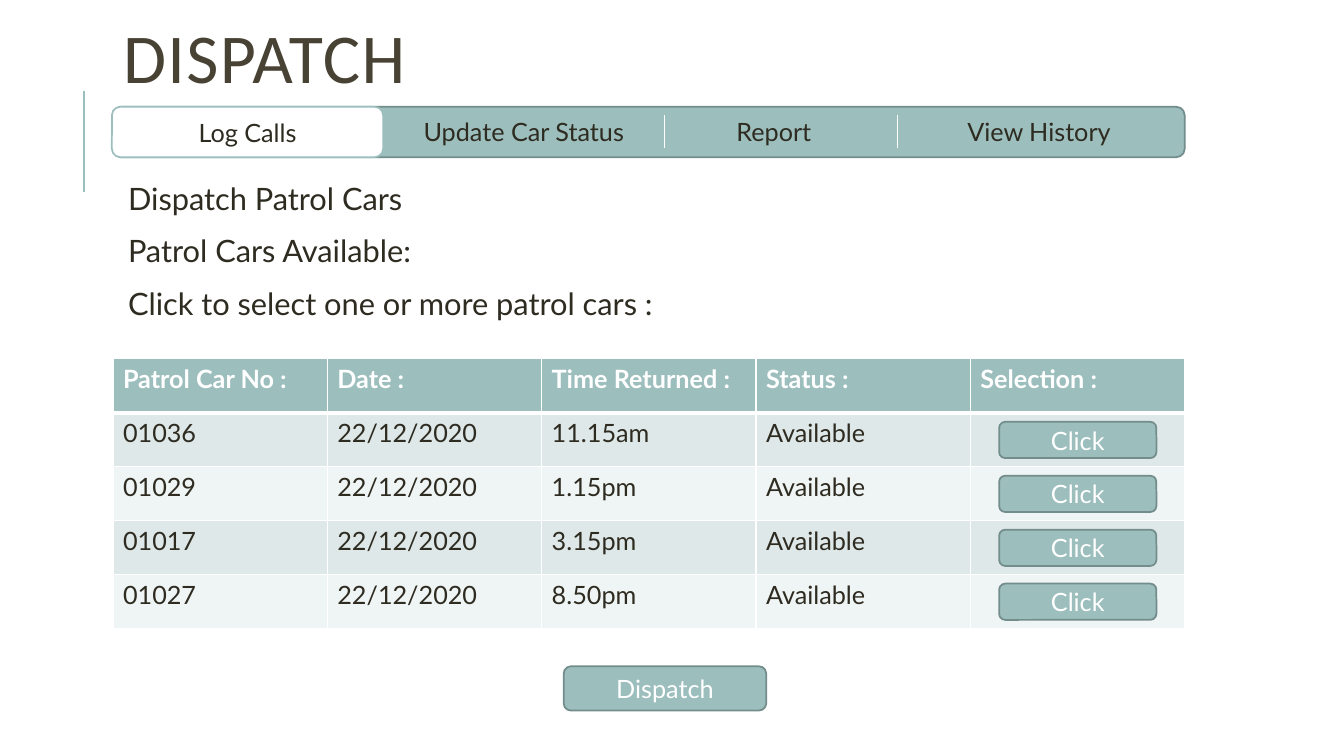
from pptx import Presentation
from pptx.dml.color import RGBColor
from pptx.enum.shapes import MSO_CONNECTOR, MSO_SHAPE
from pptx.enum.text import MSO_ANCHOR, MSO_AUTO_SIZE, PP_ALIGN
from pptx.oxml.ns import qn
from pptx.util import Inches, Pt
from lxml import etree

ROUNDED = MSO_SHAPE.ROUNDED_RECTANGLE
STRAIGHT = MSO_CONNECTOR.STRAIGHT
LEFT, CENTER = PP_ALIGN.LEFT, PP_ALIGN.CENTER
MIDDLE, TOP = MSO_ANCHOR.MIDDLE, MSO_ANCHOR.TOP
NO_FIT, GROW = MSO_AUTO_SIZE.NONE, MSO_AUTO_SIZE.SHAPE_TO_FIT_TEXT

TEAL, EDGE, WHITE = "9CBEBD", "738D8C", "FFFFFF"
INK, BROWN = "2E2B21", "474233"
BANDS = ("DEE8E8", "EFF4F4")
CONTENT_LEFT, CONTENT_WIDTH = 1.12, 10.63
ROW_HEIGHT = 0.535

INSTRUCTIONS = ("Dispatch Patrol Cars", "Patrol Cars Available:",
                "Click to select one or more patrol cars :")
MENU = (("Update Car Status", 2.83), ("Report", 5.31), ("View History", 7.94))
HEADINGS = ("Patrol Car No :", "Date :", "Time Returned :", "Status :", "Selection :")
RETURNS = (("01036", "11.15am"), ("01029", "1.15pm"),
           ("01017", "3.15pm"), ("01027", "8.50pm"))


def color(hex_code):
    """Turn a hex string into a colour."""
    return RGBColor.from_string(hex_code)


def add_run(paragraph, text, size=18, ink=INK, font="Lato", bold=False):
    """Append one formatted run and return it."""
    run = paragraph.add_run()
    run.text = text
    run.font.size = Pt(size)
    run.font.name = font
    run.font.bold = bold
    run.font.color.rgb = color(ink)
    return run


def place(part, left, top, width, height):
    """Move and size a placeholder."""
    part.left, part.top = Inches(left), Inches(top)
    part.width, part.height = Inches(width), Inches(height)


def add_rule(slide, x, top, bottom, hex_code, weight):
    """Draw a vertical line without a shadow."""
    rule = slide.shapes.add_connector(
        STRAIGHT, Inches(x), Inches(top), Inches(x), Inches(bottom))
    rule.line.color.rgb = color(hex_code)
    rule.line.width = Pt(weight)
    etree.SubElement(rule._element.spPr, qn("a:effectLst"))


def add_button(slide, left, top, width, height, label="", fill=TEAL, edge=EDGE, ink=WHITE):
    """Draw a rounded button with an optional centred label."""
    button = slide.shapes.add_shape(
        ROUNDED, Inches(left), Inches(top), Inches(width), Inches(height))
    button.shadow.inherit = False
    button.fill.solid()
    button.fill.fore_color.rgb = color(fill)
    button.line.color.rgb = color(edge)
    button.line.width = Pt(1.25)
    if label:
        button.text_frame.vertical_anchor = MIDDLE
        paragraph = button.text_frame.paragraphs[0]
        paragraph.alignment = CENTER
        add_run(paragraph, label, ink=ink)


def fill_title(slide, left, top, width, height):
    """Write the page title beside its accent line."""
    title = slide.shapes.title
    place(title, left, top, width, height)
    frame = title.text_frame
    frame.auto_size = NO_FIT
    frame.vertical_anchor = MIDDLE
    paragraph = frame.paragraphs[0]
    paragraph.alignment = LEFT
    paragraph.line_spacing = 0.8
    run = add_run(paragraph, "DISPATCH", 50, BROWN, "Calibri")
    run.font._element.set("spc", "100")
    add_rule(slide, left - 0.29, top + 0.7, top + 1.7, TEAL, 1.5)


def fill_instructions(slide, left, top, width, height):
    """Write the instruction lines in the body placeholder."""
    body = slide.placeholders[1]
    place(body, left, top, width, height)
    frame = body.text_frame
    frame.auto_size = NO_FIT
    frame.vertical_anchor = TOP
    frame.margin_left = frame.margin_right = Inches(0.05)
    frame.margin_top = frame.margin_bottom = Inches(0.05)
    for index, instruction in enumerate(INSTRUCTIONS):
        paragraph = frame.add_paragraph() if index else frame.paragraphs[0]
        paragraph.line_spacing = 0.9
        paragraph.space_before, paragraph.space_after = Pt(12), Pt(2)
        properties = paragraph._p.get_or_add_pPr()
        properties.set("marL", str(Inches(0.1)))
        properties.set("indent", str(-Inches(0.1)))
        bullet_color = etree.SubElement(properties, qn("a:buClr"))
        etree.SubElement(bullet_color, qn("a:srgbClr"), val=TEAL)
        etree.SubElement(properties, qn("a:buChar"), char=" ")
        add_run(paragraph, instruction, 22)


def add_menu(slide, left, top, width, height):
    """Draw the menu bar with its active tab, labels and dividers."""
    add_button(slide, left, top, width, height)
    add_button(slide, left - 0.01, top, 2.69, height, "Log Calls", WHITE, TEAL, INK)
    for label, offset in MENU:
        item = slide.shapes.add_textbox(
            Inches(left + offset), Inches(top + 0.05), Inches(2.49), Inches(0.4))
        item.text_frame.word_wrap = True
        item.text_frame.auto_size = GROW
        paragraph = item.text_frame.paragraphs[0]
        paragraph.alignment = CENTER
        add_run(paragraph, label)
    for offset in (5.47, 7.78):
        add_rule(slide, left + offset, top + 0.08, top + 0.41, WHITE, 0.75)


def style_cell(cell, fill, top_weight, bottom_weight):
    """Give a cell white borders and a solid fill."""
    properties = cell._tc.get_or_add_tcPr()
    weights = {"a:lnL": 1, "a:lnR": 1, "a:lnT": top_weight, "a:lnB": bottom_weight}
    for side, weight in weights.items():
        border = etree.SubElement(properties, qn(side), w=str(Pt(weight)))
        paint = etree.SubElement(border, qn("a:solidFill"))
        etree.SubElement(paint, qn("a:srgbClr"), val=WHITE)
    cell.fill.solid()
    cell.fill.fore_color.rgb = color(fill)


def add_car_table(slide, left, top, width, row_height):
    """Draw the table of patrol cars with a button in each selection cell."""
    rows = [HEADINGS] + [(car, "22/12/2020", time, "Available", "")
                         for car, time in RETURNS]
    cars = slide.shapes.add_table(
        len(rows), len(HEADINGS), Inches(left), Inches(top),
        Inches(width), Inches(row_height * len(rows))).table
    for row, values in enumerate(rows):
        header = row == 0
        fill = TEAL if header else BANDS[(row - 1) % 2]
        for column, value in enumerate(values):
            cell = cars.cell(row, column)
            style_cell(cell, fill, 3 if row == 1 else 1, 3 if header else 1)
            if value:
                add_run(cell.text_frame.paragraphs[0], value,
                        ink=WHITE if header else INK, bold=header)
        if not header:
            add_button(slide, left + 8.79, top + row * row_height + 0.09,
                       1.56, 0.36, "Click")


def build_dispatch_slide(deck):
    """Assemble the dispatch page."""
    slide = deck.slides.add_slide(deck.slide_layouts[1])
    fill_title(slide, CONTENT_LEFT, 0.2, CONTENT_WIDTH, 0.85)
    fill_instructions(slide, CONTENT_LEFT, 1.77, CONTENT_WIDTH, 1.59)
    add_menu(slide, CONTENT_LEFT, 1.06, CONTENT_WIDTH, 0.5)
    add_car_table(slide, CONTENT_LEFT, 3.56, CONTENT_WIDTH, ROW_HEIGHT)
    add_button(slide, 5.59, 6.61, 2.01, 0.44, "Dispatch")


deck = Presentation()
deck.slide_width, deck.slide_height = Inches(13.33), Inches(7.5)
build_dispatch_slide(deck)
deck.save("out.pptx")
